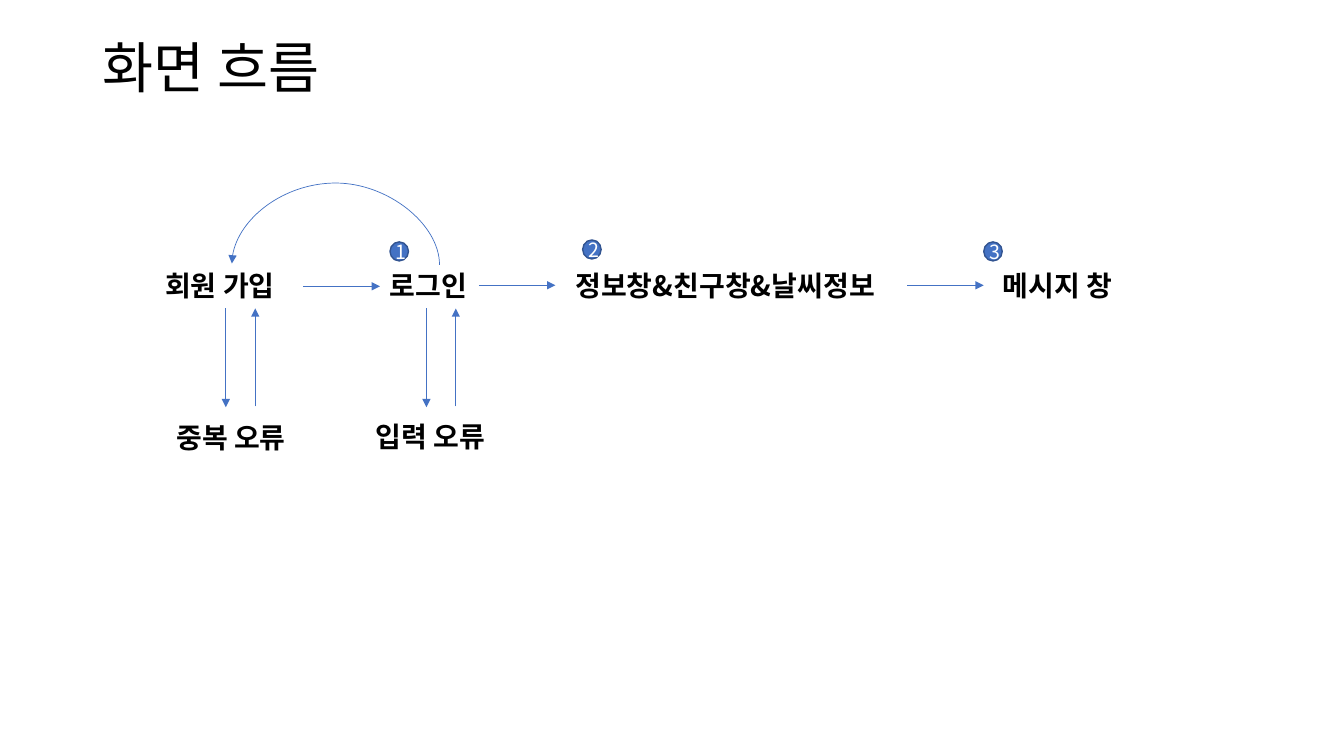
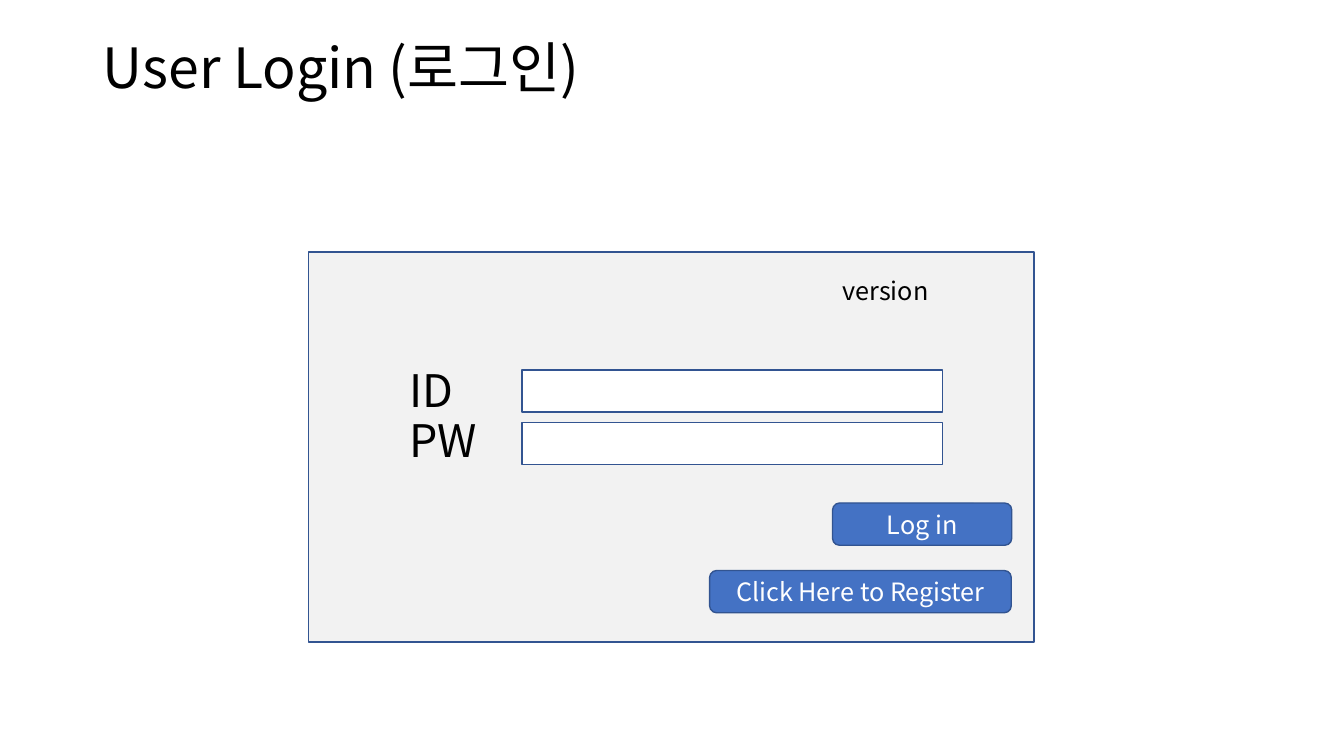
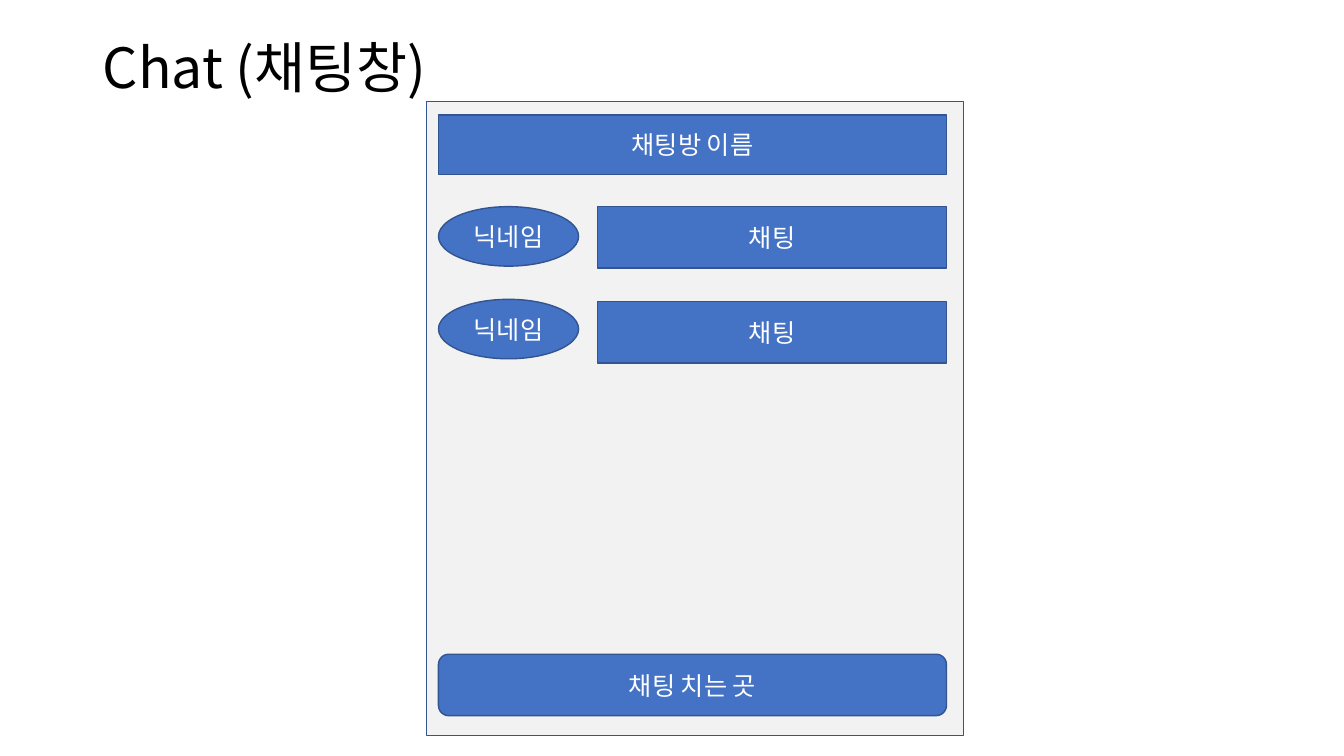
from dataclasses import dataclass

from lxml import etree
from pptx import Presentation
from pptx.dml.color import RGBColor
from pptx.enum import shapes, text
from pptx.oxml.ns import qn
from pptx.util import Pt

# Shared look
FONT = "Noto Sans CJK KR"
BLACK, WHITE, BLUE, EDGE, PANEL = "000000", "FFFFFF", "4472C4", "325491", "F2F2F2"
RECT = shapes.MSO_SHAPE.RECTANGLE
ROUND = shapes.MSO_SHAPE.ROUNDED_RECTANGLE
OVAL = shapes.MSO_SHAPE.OVAL
LEFT, CENTER = text.PP_ALIGN.LEFT, text.PP_ALIGN.CENTER
MIDDLE = text.MSO_ANCHOR.MIDDLE


@dataclass
class Label:
    words: str
    left: float
    top: float
    width: float
    height: float
    size: float = 20
    bold: bool = False
    wrap: bool = True


@dataclass
class Block:
    left: float
    top: float
    width: float
    height: float
    words: str = ""
    kind: shapes.MSO_SHAPE = RECT
    fill: str = BLUE
    size: float = 18


@dataclass
class Arrow:
    x1: float
    y1: float
    x2: float
    y2: float
    kind: shapes.MSO_CONNECTOR = shapes.MSO_CONNECTOR.STRAIGHT


def color(value: str) -> RGBColor:
    return RGBColor.from_string(value)


def write(frame, words: str, size: float, ink: str, align=LEFT, bold: bool = False):
    """Fill a text frame with one formatted paragraph."""
    para = frame.paragraphs[0]
    para.text = words
    para.alignment = align
    font = para.font
    font.name, font.size, font.bold = FONT, Pt(size), bold
    font.color.rgb = color(ink)
    properties = para._p.pPr.find(qn("a:defRPr"))
    etree.SubElement(properties, qn("a:ea")).set("typeface", FONT)
    return para


def add_page(deck, title: str):
    page = deck.slides.add_slide(deck.slide_layouts[5])
    box = page.shapes.title
    box.left, box.top, box.width, box.height = Pt(66.2), Pt(28.8), Pt(828), Pt(42.5)
    frame = box.text_frame
    frame.auto_size = text.MSO_AUTO_SIZE.NONE
    frame.vertical_anchor = MIDDLE
    write(frame, title, 39.6, BLACK).line_spacing = 0.9
    return page


def add_label(page, label: Label) -> None:
    box = page.shapes.add_textbox(
        Pt(label.left), Pt(label.top), Pt(label.width), Pt(label.height))
    frame = box.text_frame
    frame.word_wrap = label.wrap
    frame.auto_size = text.MSO_AUTO_SIZE.SHAPE_TO_FIT_TEXT
    write(frame, label.words, label.size, BLACK, bold=label.bold)


def add_block(page, block: Block) -> None:
    box = page.shapes.add_shape(
        block.kind, Pt(block.left), Pt(block.top), Pt(block.width), Pt(block.height))
    box.shadow.inherit = False
    box.fill.solid()
    box.fill.fore_color.rgb = color(block.fill)
    box.line.color.rgb = color(EDGE)
    box.line.width = Pt(1)
    if block.words:
        box.text_frame.vertical_anchor = MIDDLE
        write(box.text_frame, block.words, block.size, WHITE, CENTER)


def add_arrow(page, arrow: Arrow):
    line = page.shapes.add_connector(
        arrow.kind, Pt(arrow.x1), Pt(arrow.y1), Pt(arrow.x2), Pt(arrow.y2))
    line.line.color.rgb = color(BLUE)
    line.line.width = Pt(0.5)
    etree.SubElement(line.line._get_or_add_ln(), qn("a:tailEnd")).set("type", "triangle")
    etree.SubElement(line.element.spPr, qn("a:effectLst"))
    return line


def add_return_arc(page, arrow: Arrow, bulge: int) -> None:
    """Draw a thin curve turned a quarter left; bulge is in 1/1000 percent."""
    properties = add_arrow(page, arrow).element.spPr
    properties.find(qn("a:xfrm")).set("rot", "16200000")
    geometry = properties.find(qn("a:prstGeom"))
    guides = geometry.find(qn("a:avLst"))
    if guides is None:
        guides = etree.SubElement(geometry, qn("a:avLst"))
    guide = etree.SubElement(guides, qn("a:gd"))
    guide.set("name", "adj1")
    guide.set("fmla", f"val {bulge}")


deck = Presentation()
deck.slide_width, deck.slide_height = Pt(960), Pt(540)

# Screen flow
page = add_page(deck, "화면 흐름")
for words, left, top, width in (
    ("회원 가입", 110.9, 188.6, 108),
    ("로그인", 271.4, 188.6, 83.5),
    ("정보창&친구창&날씨정보", 403.9, 188.6, 284.4),
    ("메시지 창", 709.2, 188.6, 250),
    ("입력 오류", 261.4, 295.9, 284.4),
    ("중복 오류", 118.8, 296.6, 284.4),
):
    add_label(page, Label(words, left, top, width, 31.7, bold=True))
for left, y in ((216.7, 204.5), (342, 203.8), (648, 203.8)):
    add_arrow(page, Arrow(left, y, left + 54.7, y))
for x in (304.6, 161.3):
    add_arrow(page, Arrow(x, 220.3, x, 290.9))
    add_arrow(page, Arrow(x + 21, 290.2, x + 21, 220.3))
add_return_arc(
    page, Arrow(239.3, 262.9, 240.3, 114.6, shapes.MSO_CONNECTOR.CURVE), 5895400)
for number, (left, top) in enumerate(
        ((278.6, 172.8), (416.2, 171.4), (702.7, 172.8)), start=1):
    add_block(page, Block(left, top, 13.2, 13.6, str(number), OVAL, size=14))

# Login form
page = add_page(deck, "User Login (로그인)")
add_block(page, Block(220.3, 180, 518.4, 278.6, fill=PANEL))
for words, top, width, field_top in (
    ("ID", 255.6, 46.8, 264.2),
    ("PW", 291.6, 64.1, 301.7),
):
    add_label(page, Label(words, 285.1, top, width, 46.1, size=32, wrap=False))
    add_block(page, Block(373, field_top, 300.2, 30.2, fill=WHITE))
add_block(page, Block(506.9, 407.5, 215.5, 30.2, "Click Here to Register", ROUND))
add_block(page, Block(594.7, 359.3, 128, 30.2, "Log in", ROUND))
add_label(page, Label("version", 594.7, 193, 135.4, 28.8, size=18))

# Chat window
page = add_page(deck, "Chat (채팅창)")
add_block(page, Block(304.6, 72.7, 383.8, 452.9, fill=PANEL))
add_block(page, Block(313.2, 82.1, 362.9, 42.5, "채팅방 이름"))
add_block(page, Block(313.2, 467.3, 362.9, 43.9, "채팅 치는 곳", ROUND))
for name_top, chat_top in ((147.6, 147.6), (213.8, 215.3)):
    add_block(page, Block(313.2, name_top, 100.1, 42.5, "닉네임", OVAL))
    add_block(page, Block(427, chat_top, 249.1, 43.9, "채팅"))

deck.save("out.pptx")
